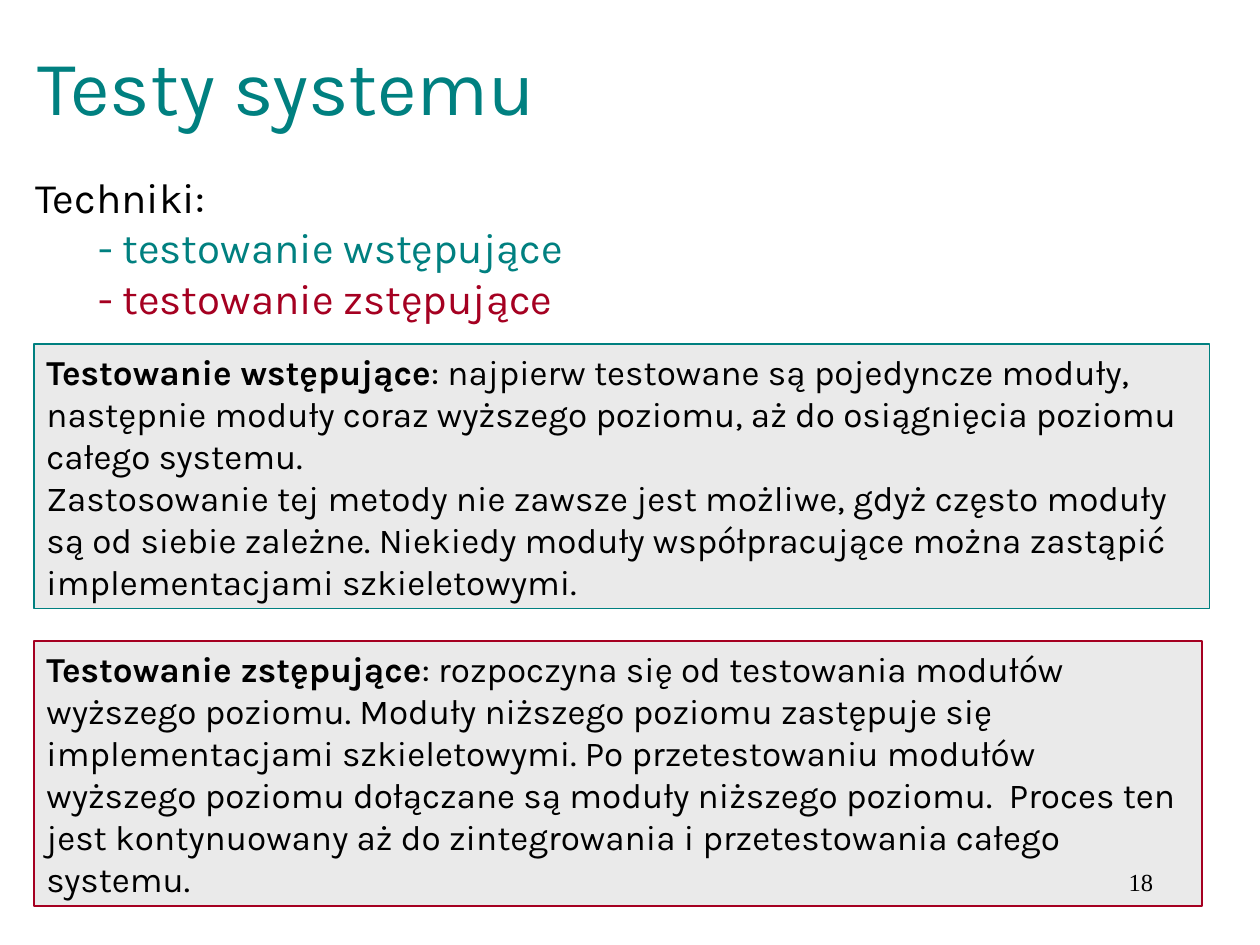
from pptx import Presentation
from pptx.dml.color import RGBColor
from pptx.enum.shapes import MSO_SHAPE
from pptx.enum.text import MSO_ANCHOR, PP_ALIGN
from pptx.util import Inches, Pt

RECT = MSO_SHAPE.RECTANGLE
TOP, MIDDLE = MSO_ANCHOR.TOP, MSO_ANCHOR.MIDDLE
LEFT, RIGHT = PP_ALIGN.LEFT, PP_ALIGN.RIGHT

COLORS = {"teal": "008080", "red": "A50021", "black": "000000", "gray": "EAEAEA"}


def color(name):
    return RGBColor.from_string(COLORS[name])


def write(para, text, size=20, font="Karla", ink="black", bold=False, align=LEFT):
    """Add one formatted run to a paragraph."""
    para.alignment = align
    run = para.add_run()
    run.text = text
    run.font.size = Pt(size)
    run.font.name = font
    run.font.bold = bold
    run.font.color.rgb = color(ink)


def set_frame(shape, anchor=TOP, wrap=True):
    frame = shape.text_frame
    frame.word_wrap = wrap
    frame.vertical_anchor = anchor
    return frame


def add_text(slide, box, anchor=TOP, wrap=True):
    shape = slide.shapes.add_textbox(*map(Inches, box))
    return set_frame(shape, anchor, wrap)


def add_title(slide, box, text):
    frame = add_text(slide, box, anchor=MIDDLE)
    write(frame.paragraphs[0], text, size=44, ink="teal")


def add_list(slide, box, head, items):
    frame = add_text(slide, box, wrap=False)
    write(frame.paragraphs[0], head, size=24)
    for text, ink in items:
        write(frame.add_paragraph(), f"\t- {text}", size=24, ink=ink)


def add_panel(slide, box, edge, term, first, *more):
    """Gray panel: a bold term, its definition and further paragraphs."""
    shape = slide.shapes.add_shape(RECT, *map(Inches, box))
    shape.shadow.inherit = False
    shape.fill.solid()
    shape.fill.fore_color.rgb = color("gray")
    shape.line.color.rgb = color(edge)
    shape.line.width = Pt(1)
    frame = set_frame(shape)
    para = frame.paragraphs[0]
    write(para, term, bold=True)
    write(para, f": {first}")
    for text in more:
        write(frame.add_paragraph(), text)


def add_number(slide, box, text):
    frame = add_text(slide, box)
    write(frame.paragraphs[0], text, size=14, font="Times New Roman", align=RIGHT)


def main():
    deck = Presentation()
    deck.slide_width, deck.slide_height = Inches(10), Inches(7.5)
    slide = deck.slides.add_slide(deck.slide_layouts[6])

    # Heading and list of techniques
    add_title(slide, (0.2, 0.21, 8.5, 0.93), "Testy systemu")
    add_list(slide, (0.18, 1.31, 4.96, 1.3), "Techniki:", [
        ("testowanie wstępujące", "teal"),
        ("testowanie zstępujące", "red"),
    ])

    # Definitions
    add_panel(
        slide, (0.27, 2.73, 9.33, 2.1), "teal", "Testowanie wstępujące",
        "najpierw testowane są pojedyncze moduły, następnie moduły coraz "
        "wyższego poziomu, aż do osiągnięcia poziomu całego systemu.",
        "Zastosowanie tej metody nie zawsze jest możliwe, gdyż często moduły "
        "są od siebie zależne. Niekiedy moduły współpracujące można zastąpić "
        "implementacjami szkieletowymi.",
    )
    add_panel(
        slide, (0.27, 5.09, 9.27, 2.1), "red", "Testowanie zstępujące",
        "rozpoczyna się od testowania modułów wyższego poziomu. Moduły "
        "niższego poziomu zastępuje się implementacjami szkieletowymi. "
        "Po przetestowaniu modułów wyższego poziomu dołączane są moduły "
        "niższego poziomu.  Proces ten jest kontynuowany aż do zintegrowania "
        "i przetestowania całego systemu.",
    )

    # Page number
    add_number(slide, (7.17, 6.83, 2.08, 0.5), "18")
    deck.save("out.pptx")


if __name__ == "__main__":
    main()
